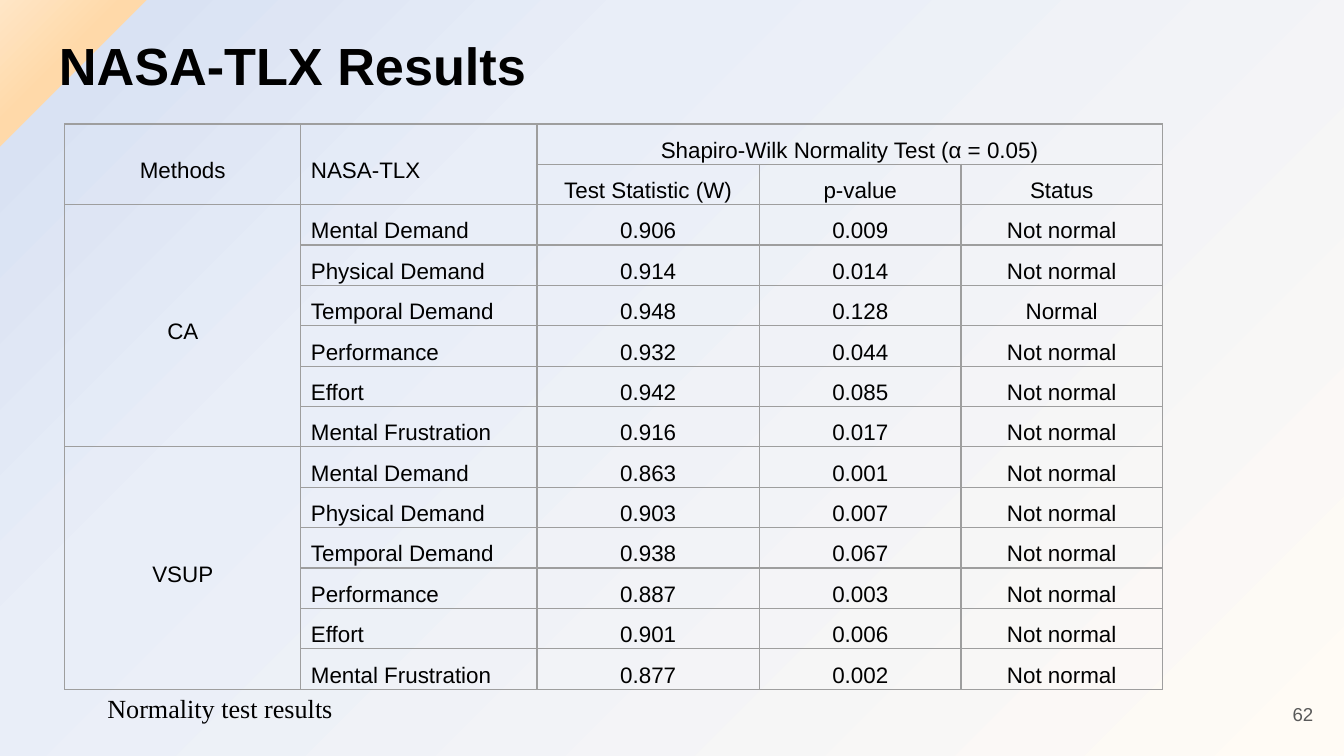
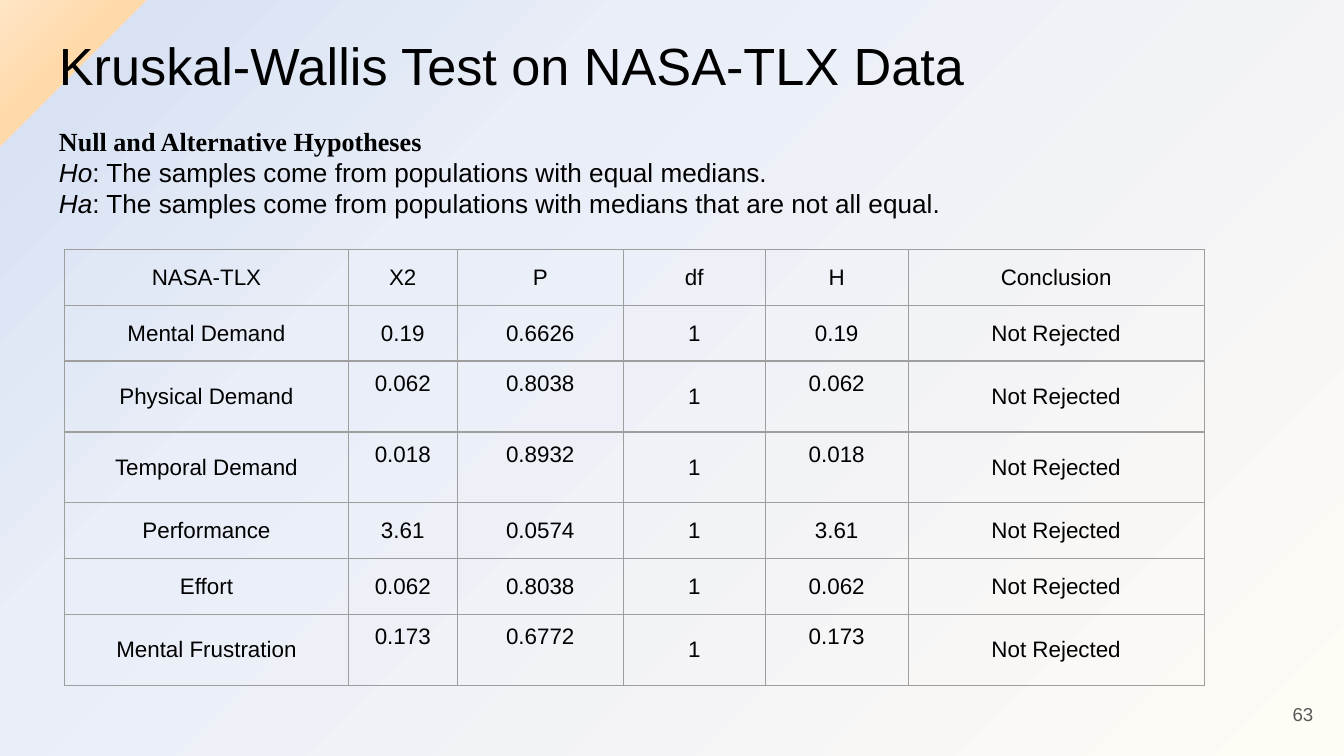
from dataclasses import dataclass

from lxml.etree import SubElement
from pptx import Presentation
from pptx.dml.color import RGBColor
from pptx.enum.text import MSO_ANCHOR, PP_ALIGN
from pptx.oxml import parse_xml
from pptx.oxml.ns import nsdecls, qn
from pptx.util import Pt

COLORS = {"ink": "000000", "page": "595959", "grid": "9E9E9E"}
SANS, SERIF = "Arial", "Times New Roman"
STOPS = (
    (0, "FFFBF5"), (68, "E9EEF8"), (93, "D9E2F3"),
    (93, "FFD9A9"), (94, "FFD9A9"), (100, "FFE6C6"),
)


@dataclass(frozen=True)
class Box:
    left: float
    top: float
    width: float
    height: float
    side: float = 7.2
    edge: float = 7.2
    anchor: MSO_ANCHOR = MSO_ANCHOR.TOP


@dataclass(frozen=True)
class Grid:
    left: float
    top: float
    cols: tuple[float, ...]
    rows: tuple[float, ...]
    spacing: float = 1.0


TITLE = Box(24.5, 10.8, 671, 45.4)
PAGE = Box(667.4, 367.2, 43.2, 31, anchor=MSO_ANCHOR.MIDDLE)
CAPTION = Box(50.4, 367.2, 195, 24.5, edge=3.6)
CLAIMS = Box(24.5, 63.4, 535, 58.3, edge=3.6)

FACTORS = (
    "Mental Demand", "Physical Demand", "Temporal Demand",
    "Performance", "Effort", "Mental Frustration",
)

# Normality: method -> (W, p-value) for each factor
NORMAL = {
    "CA": (("0.906", "0.009"), ("0.914", "0.014"), ("0.948", "0.128"),
           ("0.932", "0.044"), ("0.942", "0.085"), ("0.916", "0.017")),
    "VSUP": (("0.863", "0.001"), ("0.903", "0.007"), ("0.938", "0.067"),
             ("0.887", "0.003"), ("0.901", "0.006"), ("0.877", "0.002")),
}
PASSED = {("CA", "Temporal Demand")}

# Kruskal-Wallis: (X2 and H, P) for each factor
KRUSKAL = (("0.19", "0.6626"), ("0.062", "0.8038"), ("0.018", "0.8932"),
           ("3.61", "0.0574"), ("0.062", "0.8038"), ("0.173", "0.6772"))
TALL = (2, 3, 6)
LOW_ROW, TALL_ROW, LIFT = 29.85, 38, 13.8

NORMAL_GRID = Grid(34.7, 66.4, (126.5, 126.5, 119.2, 108, 107.9),
                   (20.83,) * 14, 1.5)
KRUSKAL_GRID = Grid(
    34.7, 133.7, (151.9, 58.4, 88.9, 76.1, 76.6, 158.6),
    tuple(TALL_ROW if row in TALL else LOW_ROW for row in range(7)))


def put(para, text: str, *, size: float = 12, font: str = SANS,
        color: str = "ink", bold: bool = False, italic: bool = False,
        align: PP_ALIGN = PP_ALIGN.LEFT, spacing: float = 1.0) -> None:
    """Add a run of formatted text to a paragraph."""
    para.alignment = align
    para.line_spacing = spacing
    run = para.add_run()
    run.text = text
    run.font.size = Pt(size)
    run.font.name = font
    run.font.bold = bold
    run.font.italic = italic
    run.font.color.rgb = RGBColor.from_string(COLORS[color])


def add_box(slide, box: Box):
    """Add a text box and return its frame."""
    shape = slide.shapes.add_textbox(
        Pt(box.left), Pt(box.top), Pt(box.width), Pt(box.height))
    frame = shape.text_frame
    frame.word_wrap = True
    frame.vertical_anchor = box.anchor
    frame.margin_left = frame.margin_right = Pt(box.side)
    frame.margin_top = frame.margin_bottom = Pt(box.edge)
    return frame


def style_cell(cell) -> None:
    """Clear the fill, set the margins and draw the four borders."""
    cell.fill.background()
    cell.vertical_anchor = MSO_ANCHOR.MIDDLE
    cell.margin_left = cell.margin_right = Pt(5.4)
    cell.margin_top = cell.margin_bottom = Pt(0)
    props = cell._tc.get_or_add_tcPr()
    for spot, edge in enumerate("LRTB"):
        line = SubElement(props, qn(f"a:ln{edge}"), w=str(Pt(0.75)))
        fill = SubElement(line, qn("a:solidFill"))
        SubElement(fill, qn("a:srgbClr"), val=COLORS["grid"])
        props.insert(spot, line)


def add_grid(slide, grid: Grid, data: list[tuple[str, ...]],
             spans: tuple = (), left_cols: tuple[int, ...] = ()):
    """Add a table; each span is (row, col, last row, last col)."""
    table = slide.shapes.add_table(
        len(grid.rows), len(grid.cols), Pt(grid.left), Pt(grid.top),
        Pt(sum(grid.cols)), Pt(sum(grid.rows))).table
    table.first_row = table.horz_banding = False
    for col, width in zip(table.columns, grid.cols):
        col.width = Pt(width)
    for row, height in zip(table.rows, grid.rows):
        row.height = Pt(height)
    for top, left, bottom, right in spans:
        table.cell(top, left).merge(table.cell(bottom, right))
    for y, line in enumerate(data):
        for x, text in enumerate(line):
            cell = table.cell(y, x)
            style_cell(cell)
            if not cell.is_spanned:
                put(cell.text_frame.paragraphs[0], text,
                    spacing=grid.spacing,
                    align=PP_ALIGN.LEFT if x in left_cols
                    else PP_ALIGN.CENTER)
    return table


def set_back(master) -> None:
    """Give every slide the corner gradient."""
    master.background.fill.gradient()
    old = master.element.find(".//" + qn("a:gradFill"))
    stops = "".join(
        f'<a:gs pos="{pos * 1000}"><a:srgbClr val="{color}"/></a:gs>'
        for pos, color in STOPS)
    new = parse_xml(
        f'<a:gradFill {nsdecls("a")} rotWithShape="1">'
        f'<a:gsLst>{stops}</a:gsLst><a:path path="circle">'
        '<a:fillToRect l="100000" t="100000"/></a:path></a:gradFill>')
    old.getparent().replace(old, new)


def add_slide(deck, title: str, page: int, bold: bool = False):
    """Add a slide with its title and page number."""
    slide = deck.slides.add_slide(deck.slide_layouts[6])
    put(add_box(slide, TITLE).paragraphs[0], title, size=28, bold=bold)
    put(add_box(slide, PAGE).paragraphs[0], str(page), size=10,
        color="page", align=PP_ALIGN.RIGHT)
    return slide


def draw_normal(deck) -> None:
    slide = add_slide(deck, "NASA-TLX Results", 62, bold=True)
    data = [
        ("Methods", "NASA-TLX", "Shapiro-Wilk Normality Test (α = 0.05)",
         "", ""),
        ("", "", "Test Statistic (W)", "p-value", "Status"),
    ]
    for method, scores in NORMAL.items():
        for factor, score in zip(FACTORS, scores):
            passed = (method, factor) in PASSED
            data.append((method, factor, *score,
                         "Normal" if passed else "Not normal"))
    spans = ((0, 0, 1, 0), (0, 1, 1, 1), (0, 2, 0, 4),
             (2, 0, 7, 0), (8, 0, 13, 0))
    add_grid(slide, NORMAL_GRID, data, spans, left_cols=(1,))
    put(add_box(slide, CAPTION).paragraphs[0], "Normality test results",
        size=14, font=SERIF)


def draw_kruskal(deck) -> None:
    slide = add_slide(deck, "Kruskal-Wallis Test on NASA-TLX Data", 63)

    # Hypotheses
    frame = add_box(slide, CLAIMS)
    put(frame.paragraphs[0], "Null and Alternative Hypotheses",
        size=14, font=SERIF, bold=True)
    for name, claim in (("Ho", "equal medians."),
                        ("Ha", "medians that are not all equal.")):
        para = frame.add_paragraph()
        put(para, name, size=14, italic=True)
        put(para, f": The samples come from populations with {claim}",
            size=14)

    # Test results, with figures raised in the tall rows
    data = [("NASA-TLX", "X2", "P", "df", "H", "Conclusion")]
    for factor, (stat, prob) in zip(FACTORS, KRUSKAL):
        data.append((factor, stat, prob, "1", stat, "Not Rejected"))
    table = add_grid(slide, KRUSKAL_GRID, data)
    for row in TALL:
        for col in (1, 2, 4):
            table.cell(row, col).margin_bottom = Pt(LIFT)


def main() -> None:
    deck = Presentation()
    deck.slide_width, deck.slide_height = Pt(720), Pt(405)
    set_back(deck.slide_master)
    draw_normal(deck)
    draw_kruskal(deck)
    deck.save("out.pptx")


if __name__ == "__main__":
    main()
